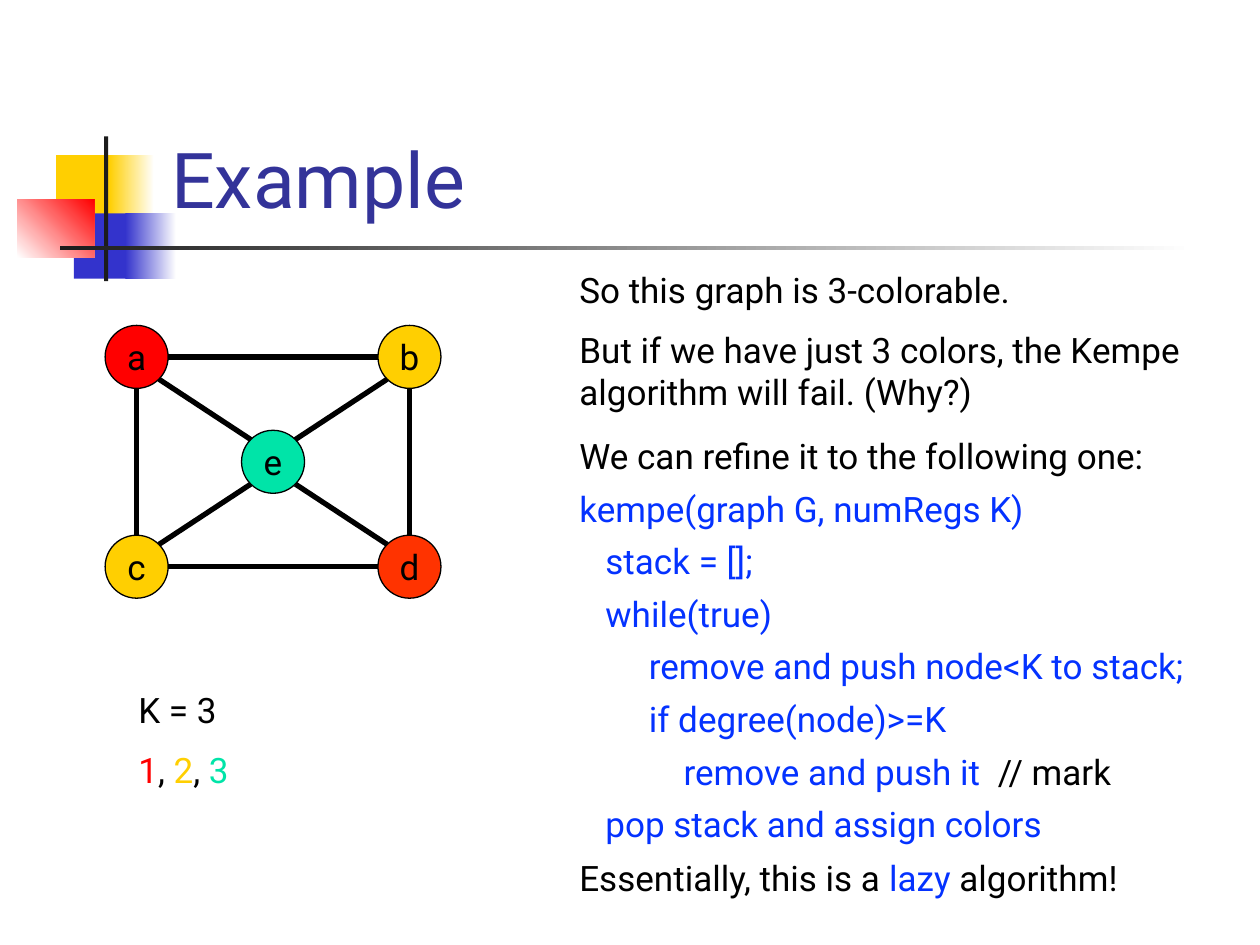
from math import sqrt

from lxml.etree import SubElement
from pptx import Presentation
from pptx.dml.color import RGBColor
from pptx.enum.shapes import MSO_CONNECTOR as Connector, MSO_SHAPE as Shape
from pptx.enum.text import MSO_ANCHOR as Anchor, PP_ALIGN as Align
from pptx.oxml.ns import qn
from pptx.util import Cm, Pt

FONT = "Roboto"
COLORS = {
    "black": "000000", "white": "FFFFFF", "ink": "1C1C1C", "title": "333399",
    "yellow": "FFCF01", "blue": "3333CC", "red": "FF0000", "orange": "FF3300",
    "green": "00E4A8", "code": "0432FF",
}
ORNAMENTS = [
    (0.78, 0.38, 1.22, 1.32, ["yellow"], 0),
    (1.85, 0.38, 0.91, 1.32, ["yellow", "white"], 0),
    (1.14, 1.55, 1.17, 1.32, ["blue"], 0),
    (2.18, 1.55, 1.02, 1.32, ["blue", "white"], 0),
    (0, 1.27, 1.55, 1.17, ["white", "red"], 45),
    (1.75, 0, 0.08, 2.92, ["ink"], 0),
    (0.86, 2.21, 22.86, 0.08, ["ink", "white"], 0),
]
NODES = {
    "a": (0, 0, "red"), "b": (1, 0, "yellow"), "c": (0, 1, "yellow"),
    "d": (1, 1, "orange"), "e": (0.5, 0.5, "green"),
}
EDGES = ["ab", "cd", "ae", "ed", "eb", "ce", "ac", "bd"]
PALETTE = [
    [("K = 3", "black")],
    [("1", "red"), (", ", "black"), ("2", "yellow"), (", ", "black"), ("3", "green")],
]
FINDINGS = [
    [("So this graph is 3-colorable.", "black")],
    [("But if we have just 3 colors, the Kempe algorithm will fail. (Why?)", "black")],
]
REFINEMENT = [[("We can refine it to the following one:", "black")]]
KEMPE = [
    [("kempe(graph G, numRegs K)", "code")],
    [("   stack = [];", "code")],
    [("   while(true)", "code")],
    [("        remove and push node<K to stack;", "code")],
    [("        if degree(node)>=K", "code")],
    [("            remove and push it  ", "code"), ("// mark", "black")],
    [("   pop stack and assign colors", "code")],
]
CONCLUSION = [[("Essentially, this is a ", "black"), ("lazy", "code"), (" algorithm!", "black")]]


def rgb(name):
    """Return the named colour."""
    return RGBColor.from_string(COLORS[name])


def add_text(slide, box, lines, size=20, gap=10, anchor=Anchor.TOP):
    """Write lines of coloured runs into the box."""
    frame = slide.shapes.add_textbox(*map(Cm, box)).text_frame
    frame.word_wrap = True
    frame.vertical_anchor = anchor
    for index, line in enumerate(lines):
        paragraph = frame.add_paragraph() if index else frame.paragraphs[0]
        paragraph.font.size, paragraph.font.name = Pt(size), FONT
        if index:
            paragraph.space_before = Pt(gap)
        for words, color in line:
            run = paragraph.add_run()
            run.text = words
            run.font.color.rgb = rgb(color)


def add_ornament(slide, left, top):
    """Draw the colour blocks and rules beside the title."""
    for x, y, width, height, shades, angle in ORNAMENTS:
        block = slide.shapes.add_shape(
            Shape.RECTANGLE, Cm(left + x), Cm(top + y), Cm(width), Cm(height))
        block.shadow.inherit = False
        block.line.fill.background()
        if len(shades) == 1:
            block.fill.solid()
            block.fill.fore_color.rgb = rgb(shades[0])
            continue
        block.fill.gradient()
        block.fill.gradient_angle = angle
        for position, (stop, shade) in enumerate(zip(block.fill.gradient_stops, shades)):
            stop.position = position
            stop.color.rgb = rgb(shade)


def add_node(slide, center, diameter, label, color):
    """Draw one labelled graph node around its centre."""
    x, y = center
    node = slide.shapes.add_shape(
        Shape.OVAL, Cm(x - diameter / 2), Cm(y - diameter / 2), Cm(diameter), Cm(diameter))
    node.shadow.inherit = False
    node.fill.solid()
    node.fill.fore_color.rgb = rgb(color)
    node.line.color.rgb = rgb("black")
    node.line.width = Pt(0.75)
    frame = node.text_frame
    frame.word_wrap = False
    frame.vertical_anchor = Anchor.MIDDLE
    paragraph = frame.paragraphs[0]
    paragraph.text = label
    paragraph.alignment = Align.CENTER
    paragraph.font.size, paragraph.font.name = Pt(20), FONT
    paragraph.font.color.rgb = rgb("black")


def add_edge(slide, start, end, radius):
    """Join the rims of two nodes with a straight line."""
    signs = [(b > a) - (b < a) for a, b in zip(start, end)]
    reach = radius / sqrt(2) if all(signs) else radius
    begin = [a + sign * reach for a, sign in zip(start, signs)]
    finish = [b - sign * reach for b, sign in zip(end, signs)]
    edge = slide.shapes.add_connector(Connector.STRAIGHT, *map(Cm, begin + finish))
    edge.line.color.rgb = rgb("black")
    edge.line.width = Pt(3)
    SubElement(edge._element.spPr, qn("a:effectLst"))


def add_graph(slide, left, top, width, height, diameter=1.27):
    """Draw the coloured graph inside its box."""
    radius = diameter / 2
    centers = {
        label: (left + radius + x * (width - diameter), top + radius + y * (height - diameter))
        for label, (x, y, color) in NODES.items()
    }
    for label, (x, y, color) in NODES.items():
        add_node(slide, centers[label], diameter, label, color)
    for start, end in EDGES:
        add_edge(slide, centers[start], centers[end], radius)


def add_explanation(slide, left, top):
    """Stack the findings, the algorithm and the conclusion."""
    add_text(slide, (left, top, 13.34, 3.23), FINDINGS)
    add_text(slide, (left, top + 3.34, 12.7, 1.1), REFINEMENT)
    add_text(slide, (left, top + 4.41, 13.54, 7.52), KEMPE, gap=6)
    add_text(slide, (left, top + 11.85, 12.7, 1.1), CONCLUSION)


def main():
    """Build and save the slide."""
    deck = Presentation()
    deck.slide_width, deck.slide_height = Cm(25.4), Cm(19.05)
    slide = deck.slides.add_slide(deck.slide_layouts[6])
    add_ornament(slide, 0.35, 2.75)
    add_text(slide, (3.2, 0.58, 21.64, 4.06), [[("Example", "title")]],
             size=44, anchor=Anchor.BOTTOM)
    add_graph(slide, 2.12, 6.56, 6.77, 5.5)
    add_text(slide, (2.54, 13.76, 6.35, 2.36), PALETTE)
    add_explanation(slide, 11.43, 5.29)
    deck.save("out.pptx")


if __name__ == "__main__":
    main()
